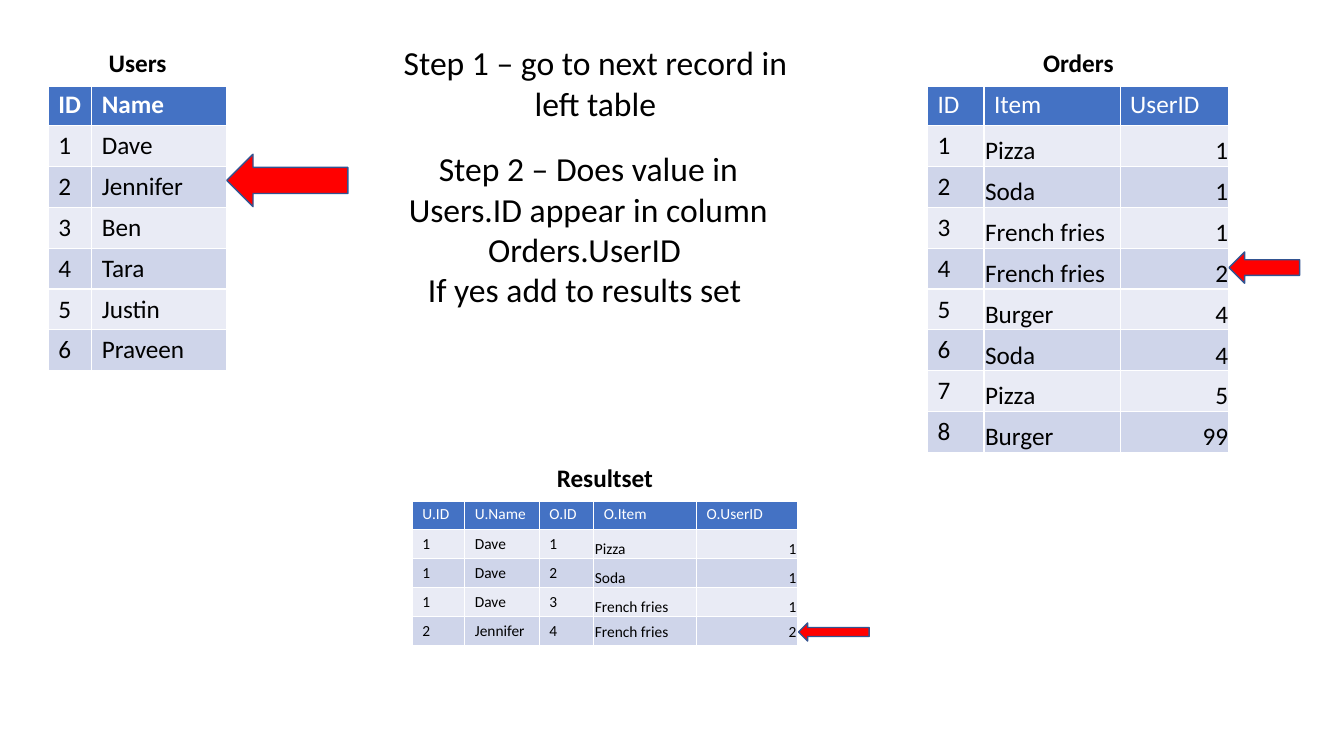
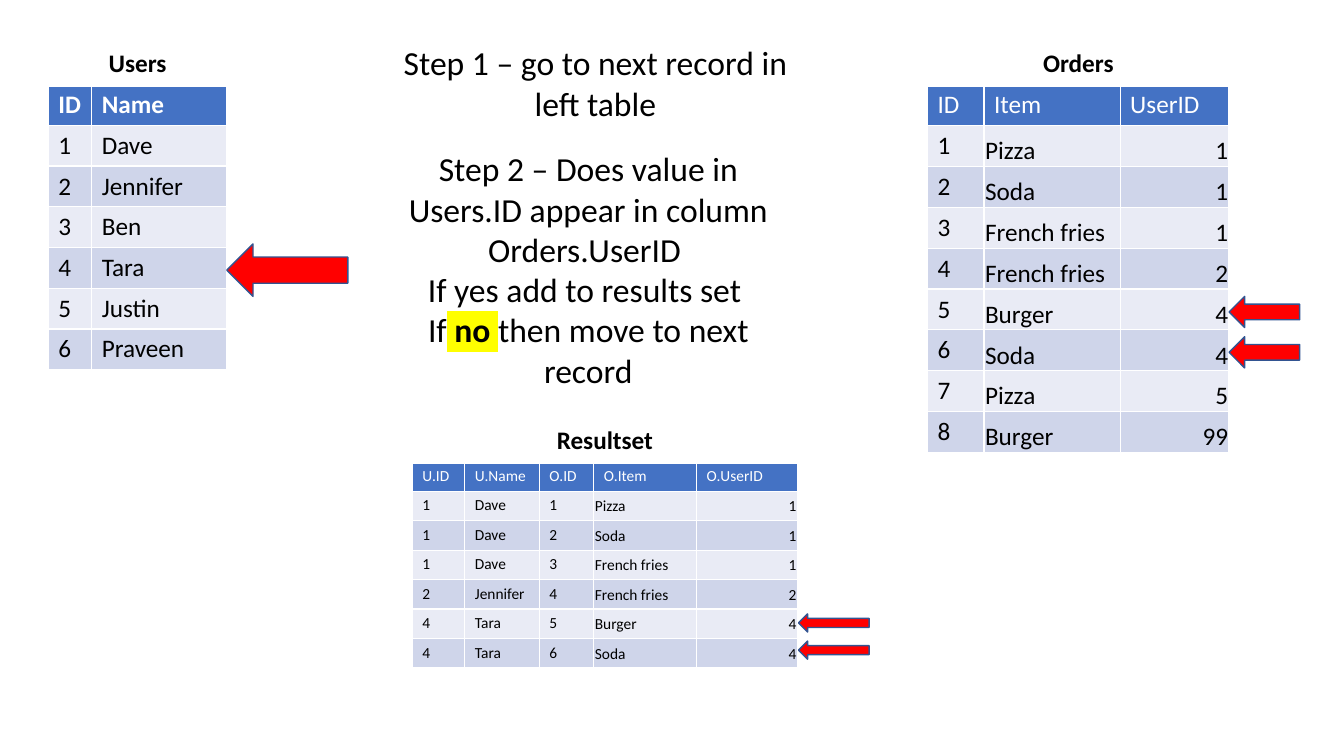
"""Build two slides that step through a left join of Users and Orders."""
from lxml import etree
from pptx import Presentation
from pptx.dml.color import RGBColor
from pptx.enum.shapes import MSO_SHAPE
from pptx.enum.text import MSO_ANCHOR, MSO_AUTO_SIZE, PP_ALIGN
from pptx.oxml.ns import qn
from pptx.util import Inches, Pt

LEFT_ARROW = MSO_SHAPE.LEFT_ARROW
TOP, MIDDLE, BOTTOM = MSO_ANCHOR.TOP, MSO_ANCHOR.MIDDLE, MSO_ANCHOR.BOTTOM
LEFT, CENTER, RIGHT = PP_ALIGN.LEFT, PP_ALIGN.CENTER, PP_ALIGN.RIGHT
FIT_SHAPE = MSO_AUTO_SIZE.SHAPE_TO_FIT_TEXT

FONT = "Calibri"
BLACK = RGBColor(0x00, 0x00, 0x00)
WHITE = RGBColor(0xFF, 0xFF, 0xFF)
HEADER_BLUE = RGBColor(0x44, 0x72, 0xC4)
BANDS = (RGBColor(0xE9, 0xEB, 0xF5), RGBColor(0xCF, 0xD5, 0xEA))
RED = RGBColor(0xFF, 0x00, 0x00)
ARROW_LINE = RGBColor(0x32, 0x54, 0x91)
YELLOW = RGBColor(0xFF, 0xFF, 0x00)

TITLE_HEIGHT = 0.41
USER_ARROW = (2.25, 1.2, 0.52)
ORDER_ARROW = (12.19, 0.7, 0.31)
RESULT_ARROW = (7.92, 0.7, 0.18)

USERS = [("1", "Dave"), ("2", "Jennifer"), ("3", "Ben"),
         ("4", "Tara"), ("5", "Justin"), ("6", "Praveen")]
ORDERS = [("1", "Pizza", "1"), ("2", "Soda", "1"),
          ("3", "French fries", "1"), ("4", "French fries", "2"),
          ("5", "Burger", "4"), ("6", "Soda", "4"),
          ("7", "Pizza", "5"), ("8", "Burger", "99")]
MATCHES = [(user, name, order, item, buyer)
           for user, name in USERS
           for order, item, buyer in ORDERS if buyer == user]

STEP_ONE = [["Step 1 – go to next record in left table"]]
STEP_TWO = [["Step 2 – Does value in Users.ID appear in column"],
            ["Orders.UserID "], ["If yes add to results set "]]
IF_NO = ["If", " ", "no", " ", "then move to next record"]


def style_font(font, size, color=BLACK, bold=False):
    """Set the typeface, size, colour and weight of a font."""
    font.name = FONT
    font.size = Pt(size)
    font.bold = bold
    font.color.rgb = color


def highlight(span):
    """Put a yellow marker behind a run."""
    marker = etree.Element(qn("a:highlight"))
    etree.SubElement(marker, qn("a:srgbClr"), val=str(YELLOW))
    span.font._element.find(qn("a:solidFill")).addnext(marker)


def add_borders(cell, bottom=1):
    """Draw white cell borders with the given bottom width in points."""
    properties = cell._tc.get_or_add_tcPr()
    for side, width in (("L", 1), ("R", 1), ("T", 1), ("B", bottom)):
        line = etree.SubElement(properties, qn(f"a:ln{side}"), w=str(Pt(width)))
        fill = etree.SubElement(line, qn("a:solidFill"))
        etree.SubElement(fill, qn("a:srgbClr"), val=str(WHITE))


def fill_cell(cell, text, fill, size, color=BLACK, bold=False, align=LEFT,
              anchor=TOP, bottom=1):
    """Write and style one table cell."""
    add_borders(cell, bottom)
    cell.fill.solid()
    cell.fill.fore_color.rgb = fill
    cell.vertical_anchor = anchor
    cell.text_frame.text = text
    para = cell.text_frame.paragraphs[0]
    para.alignment = align
    style_font(para.font, size, color, bold)
    for span in para.runs:
        style_font(span.font, size, color, bold)


def pack_cell(cell):
    """Remove nearly all the inner margins of a cell."""
    cell.margin_left = cell.margin_right = cell.margin_top = Inches(0.01)
    cell.margin_bottom = 0


def add_titled_table(page, title, at, height, widths, header, body, size=18,
                     bold_header=False, packed=0, bottom_rows=0):
    """Add a table with a merged title row; the last packed columns sit tight."""
    count, columns = len(body) + 2, len(widths)
    left, top = at
    table = page.shapes.add_table(count, columns, Inches(left), Inches(top),
                                  Inches(sum(widths)), Inches(height)).table
    table.first_row = table.horz_banding = False
    for column, width in zip(table.columns, widths):
        column.width = Inches(width)
    for index, row in enumerate(table.rows):
        row.height = Inches((height - TITLE_HEIGHT) / (count - 1) if index else TITLE_HEIGHT)
    for index in range(columns):
        fill_cell(table.cell(0, index), "" if index else title, WHITE, 18,
                  bold=True, align=CENTER, bottom=3)
        fill_cell(table.cell(1, index), header[index], HEADER_BLUE, size,
                  WHITE, bold_header)
    table.cell(0, 0).merge(table.cell(0, columns - 1))
    for number, record in enumerate(body):
        tight_anchor = BOTTOM if number < bottom_rows else MIDDLE
        for index, value in enumerate(record):
            cell = table.cell(number + 2, index)
            tight = index >= columns - packed
            last = packed and index == columns - 1
            fill_cell(cell, value, BANDS[number % 2], size,
                      align=RIGHT if last else LEFT,
                      anchor=tight_anchor if tight else TOP)
            if tight:
                pack_cell(cell)


def add_step(page, left, top, height, lines):
    """Add centred step text; the middle runs of a split line are marked."""
    box = page.shapes.add_textbox(Inches(left), Inches(top), Inches(4.17), Inches(height))
    frame = box.text_frame
    frame.word_wrap = True
    frame.auto_size = FIT_SHAPE
    for number, spans in enumerate(lines):
        para = frame.add_paragraph() if number else frame.paragraphs[0]
        para.alignment = CENTER
        for index, text in enumerate(spans):
            span = para.add_run()
            span.text = text
            style_font(span.font, 24, bold=text == "no")
            if 0 < index < len(spans) - 1:
                highlight(span)


def add_arrows(page, placement, tops):
    """Add red left arrows of one size at the given tops."""
    left, width, height = placement
    for top in tops:
        arrow = page.shapes.add_shape(LEFT_ARROW, Inches(left), Inches(top),
                                      Inches(width), Inches(height))
        arrow.shadow.inherit = False
        arrow.fill.solid()
        arrow.fill.fore_color.rgb = RED
        arrow.line.color.rgb = ARROW_LINE
        arrow.line.width = Pt(1)


def add_join_page(deck, step_two, step_height, matches, result_top,
                  result_height, bottom_rows, user_tops, order_tops, result_tops):
    """Add one slide showing a stage of the join."""
    page = deck.slides.add_slide(deck.slide_layouts[6])
    add_titled_table(page, "Users", (0.48, 0.43), 3.24, (0.43, 1.34),
                     ("ID", "Name"), USERS, bold_header=True)
    add_titled_table(page, "Orders", (9.2, 0.43), 4.06, (0.56, 1.35, 1.08),
                     ("ID", "Item", "UserID"), ORDERS, packed=2,
                     bottom_rows=len(ORDERS))
    add_step(page, 3.82, 0.37, 0.91, STEP_ONE)
    add_step(page, 3.75, 1.42, step_height, step_two)
    add_titled_table(page, "Resultset", (4.09, result_top), result_height,
                     (0.52, 0.74, 0.54, 1.02, 1),
                     ("U.ID", "U.Name", "O.ID", "O.Item", "O.UserID"),
                     matches, size=11, packed=2, bottom_rows=bottom_rows)
    add_arrows(page, USER_ARROW, user_tops)
    add_arrows(page, ORDER_ARROW, order_tops)
    add_arrows(page, RESULT_ARROW, result_tops)


def main():
    """Build and save the deck."""
    deck = Presentation()
    deck.slide_width, deck.slide_height = Inches(13.33), Inches(7.5)
    add_join_page(deck, STEP_TWO, 1.72, MATCHES[:4], 4.55, 1.86, 3,
                  user_tops=[1.53], order_tops=[2.5], result_tops=[6.18])
    add_join_page(deck, STEP_TWO + [IF_NO], 2.52, MATCHES[:6], 4.17, 2.46, 0,
                  user_tops=[2.42], order_tops=[2.94, 3.34],
                  result_tops=[6.09, 6.36])
    deck.save("out.pptx")


if __name__ == "__main__":
    main()
